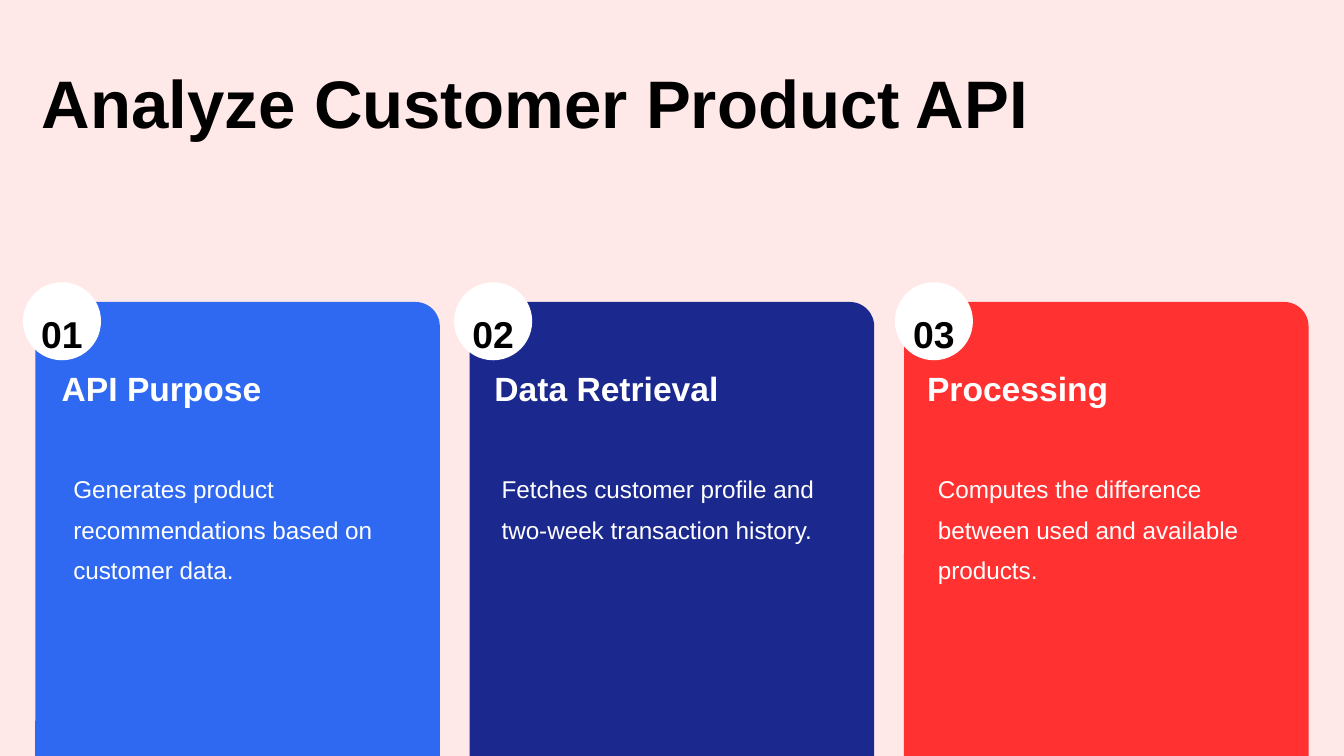
from pptx import Presentation
from pptx.dml.color import RGBColor
from pptx.enum.shapes import MSO_SHAPE
from pptx.enum.text import PP_ALIGN
from pptx.util import Pt

TITLE = "Analyze Customer Product API"
CARDS = [
    ("01", "API Purpose", "Generates product recommendations based on customer data.",
     "2F69F1", 12.3, 39.3, 178),
    ("02", "Data Retrieval", "Fetches customer profile and two-week transaction history.",
     "1B288E", 243.3, 268.7, 183.6),
    ("03", "Processing", "Computes the difference between used and available products.",
     "FF3131", 479.4, 502.5, 183.6),
]
LEFT, STEP, WIDE, TALL = 18.9, 232.7, 216.7, 282.6
HEAD, NEXT = 33.1, 231.8
DOT = 41.8


def tint(code):
    return RGBColor.from_string(code)


def shape(kind, x, y, w, h, fill):
    item = slide.shapes.add_shape(kind, Pt(x), Pt(y), Pt(w), Pt(h))
    item.shadow.inherit = False
    item.fill.solid()
    item.fill.fore_color.rgb = tint(fill)
    item.line.fill.background()
    return item


def text(words, x, y, w, h, size, color, space, bold=True, align=PP_ALIGN.LEFT):
    frame = slide.shapes.add_textbox(Pt(x), Pt(y), Pt(w), Pt(h)).text_frame
    frame.word_wrap = True
    frame.margin_left = frame.margin_right = 0
    frame.margin_top = frame.margin_bottom = 0
    frame.text = words
    para = frame.paragraphs[0]
    para.alignment = align
    para.line_spacing = space
    font = para.runs[0].font
    font.name = "Arial"
    font.size = Pt(size)
    font.bold = bold
    font.color.rgb = tint(color)


deck = Presentation()
deck.slide_width, deck.slide_height = Pt(720), Pt(405)
slide = deck.slides.add_slide(deck.slide_layouts[6])
slide.background.fill.solid()
slide.background.fill.fore_color.rgb = tint("FFE8E8")

text(TITLE, 22.3, 26.6, 675.4, 43.9, 36, "000000", 1.15)
for i, (num, name, body, fill, dot, note, wide) in enumerate(CARDS):
    card = shape(MSO_SHAPE.ROUNDED_RECTANGLE, LEFT + i * STEP, 161.8, WIDE, TALL, fill)
    card.adjustments[0] = 0.06
    shape(MSO_SHAPE.OVAL, dot, 151.2, DOT, DOT, "FFFFFF")
    text(num, dot, 157, DOT, 31, 20, "000000", 1.4, align=PP_ALIGN.CENTER)
    text(name, HEAD + i * NEXT, 193.7, 199.4, 21.6, 18, "FFFFFF", 1.15)
    text(body, note, 247.7, wide, 15.8, 13, "FFFFFF", 1.4, bold=False)

deck.save("out.pptx")
